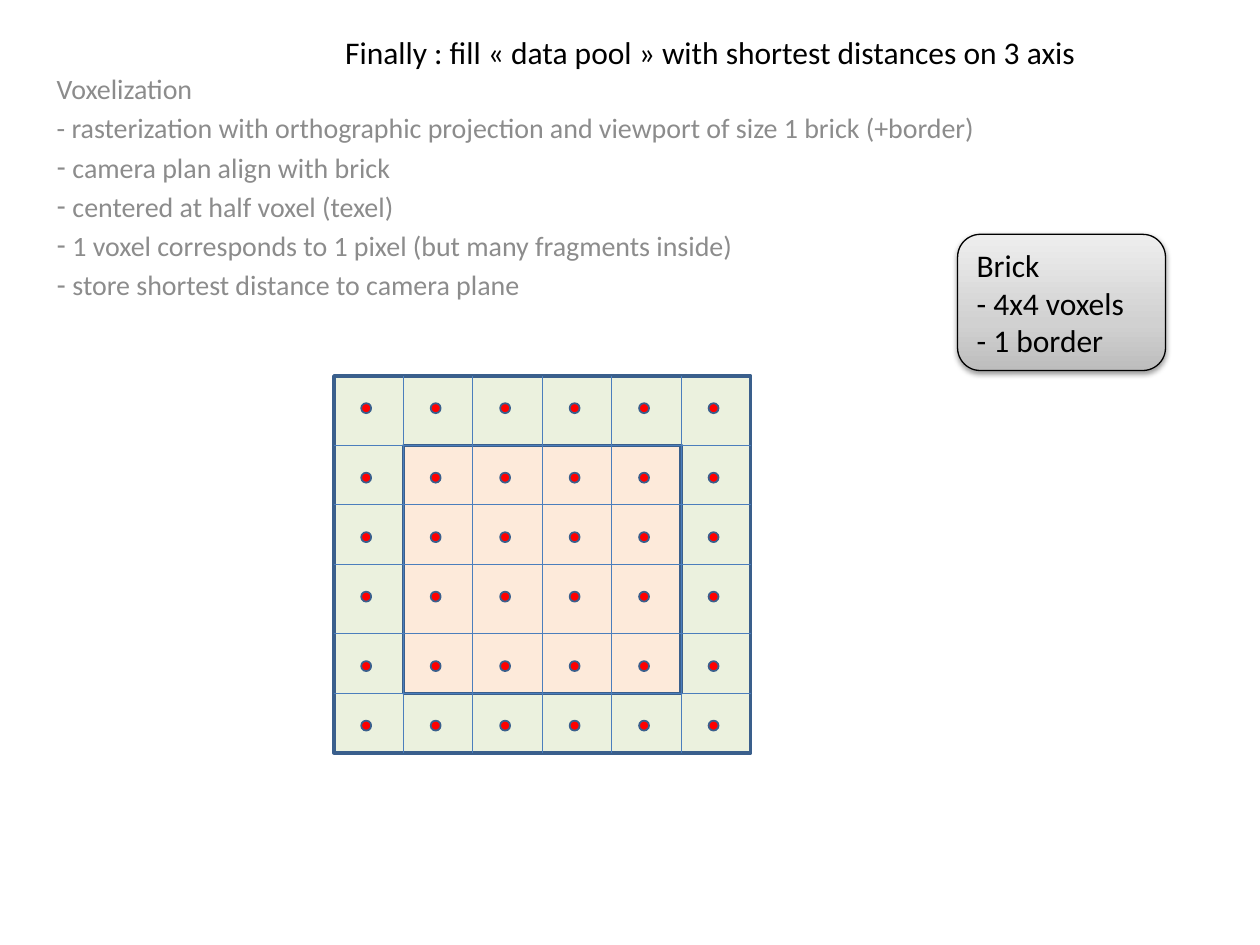
from dataclasses import dataclass
from itertools import accumulate, product

from lxml import etree
from pptx import Presentation
from pptx.dml.color import RGBColor
from pptx.enum.shapes import MSO_CONNECTOR, MSO_SHAPE
from pptx.enum.text import MSO_ANCHOR, MSO_AUTO_SIZE, PP_ALIGN
from pptx.oxml import parse_xml
from pptx.oxml.ns import nsdecls, qn
from pptx.util import Pt


@dataclass(frozen=True)
class Theme:
    font: str = "Calibri"
    text: str = "000000"
    muted: str = "8C8C8C"
    outline: str = "3A5F8C"
    grid: str = "4B7EBC"
    border_cells: str = "EBF1DE"
    brick_cells: str = "FDEADA"
    dot: str = "FF0000"
    note_gradient: tuple = ((0, "BDBDBD"), (35, "D1D1D1"), (100, "EEEEEE"))
    heading_size: int = 18
    body_size: int = 16


THEME = Theme()


def rgb(value):
    return RGBColor.from_string(value)


def place(shape, box):
    shape.left, shape.top, shape.width, shape.height = map(Pt, box)


def write(frame, lines, size, color, space_before=0):
    frame.text = "\n".join(lines)
    for paragraph in frame.paragraphs:
        paragraph.alignment = PP_ALIGN.LEFT
        paragraph.space_before = Pt(space_before)
        font = paragraph.font
        for run in paragraph.runs:
            font = run.font
            font.name, font.size = THEME.font, Pt(size)
            font.color.rgb = rgb(color)


def add_outlined(slide, kind, box, line, width, fill=None):
    shape = slide.shapes.add_shape(kind, *map(Pt, box))
    shape.shadow.inherit = False
    shape.line.color.rgb, shape.line.width = rgb(line), Pt(width)
    if fill:
        shape.fill.solid()
        shape.fill.fore_color.rgb = rgb(fill)
    return shape


def add_grid_line(slide, x1, y1, x2, y2):
    line = slide.shapes.add_connector(MSO_CONNECTOR.STRAIGHT, *map(Pt, (x1, y1, x2, y2)))
    line.line.color.rgb, line.line.width = rgb(THEME.grid), Pt(0.75)
    etree.SubElement(line._element.spPr, qn("a:effectLst"))


def fill_heading(slide, box, text):
    title = slide.shapes.title
    place(title, box)
    frame = title.text_frame
    frame.word_wrap, frame.auto_size = False, MSO_AUTO_SIZE.SHAPE_TO_FIT_TEXT
    frame.vertical_anchor = MSO_ANCHOR.TOP
    write(frame, [text], THEME.heading_size, THEME.text)


def fill_steps(slide, box, intro, bullets):
    body = slide.placeholders[1]
    place(body, box)
    frame = body.text_frame
    frame.word_wrap, frame.auto_size = True, MSO_AUTO_SIZE.NONE
    frame.vertical_anchor = MSO_ANCHOR.TOP
    write(frame, intro + bullets, THEME.body_size, THEME.muted, 0.2 * THEME.body_size)
    # Dash bullets with a hanging indent
    for paragraph in frame.paragraphs[len(intro):]:
        properties = paragraph._p.get_or_add_pPr()
        properties.set("marL", str(Pt(9)))
        properties.set("indent", str(-Pt(9)))
        etree.SubElement(properties, qn("a:buChar"), char="-")


def add_voxel_grid(slide, box, row_heights):
    left, top, width, height = box
    count = len(row_heights)
    cell = width / count
    xs = [left + cell * i for i in range(count + 1)]
    ys = list(accumulate(row_heights, initial=top))

    # Border ring, with the brick inside it
    add_outlined(slide, MSO_SHAPE.RECTANGLE, box, THEME.outline, 2, THEME.border_cells)
    brick = (xs[1], ys[1], xs[-2] - xs[1], ys[-2] - ys[1])
    add_outlined(slide, MSO_SHAPE.RECTANGLE, brick, THEME.outline, 2, THEME.brick_cells)

    # Inner grid lines
    for x in xs[1:-1]:
        add_grid_line(slide, x, top, x, top + height)
    for y in ys[1:-1]:
        add_grid_line(slide, left, y, left + width, y)

    # One sample point in each voxel
    dot, offset = 5.7, 15.6
    for x, y in product(xs[:-1], ys[:-1]):
        add_outlined(slide, MSO_SHAPE.OVAL, (x + offset, y + offset, dot, dot),
                     THEME.outline, 1, THEME.dot)


def add_brick_note(slide, box, lines):
    note = add_outlined(slide, MSO_SHAPE.ROUNDED_RECTANGLE, box, THEME.text, 0.75)
    # Gradient fill
    note.fill.gradient()
    note.fill.gradient_angle = 90
    stops = note._element.spPr.find(qn("a:gradFill")).find(qn("a:gsLst"))
    for stop in list(stops):
        stops.remove(stop)
    for position, color in THEME.note_gradient:
        stop = etree.SubElement(stops, qn("a:gs"), pos=str(position * 1000))
        etree.SubElement(stop, qn("a:srgbClr"), val=color)
    # Soft shadow below
    note._element.spPr.find(qn("a:effectLst")).append(parse_xml(
        f'<a:outerShdw {nsdecls("a")} blurRad="{Pt(3.1)}" dist="{Pt(1.6)}" dir="5400000"'
        f' rotWithShape="0"><a:srgbClr val="{THEME.text}"><a:alpha val="38000"/>'
        '</a:srgbClr></a:outerShdw>'))
    note.text_frame.word_wrap = True
    note.text_frame.vertical_anchor = MSO_ANCHOR.MIDDLE
    write(note.text_frame, lines, THEME.heading_size, THEME.text)


def build():
    deck = Presentation()
    deck.slide_width, deck.slide_height = Pt(720), Pt(540)
    slide = deck.slides.add_slide(deck.slide_layouts[0])

    fill_heading(slide, (190, 15.1, 437, 29),
                 "Finally : fill «\u00a0data pool\u00a0» with shortest distances on 3 axis")
    fill_steps(slide, (25.2, 37.4, 595.4, 147.6),
               ["Voxelization",
                "- rasterization with orthographic projection and viewport of size 1 brick (+border)"],
               ["camera plan align with brick",
                "centered at half voxel (texel)",
                "1 voxel corresponds to 1 pixel (but many fragments inside)",
                "store shortest distance to camera plane"])
    row_heights = [39.7, 34, 34] * 2
    add_voxel_grid(slide, (190.8, 214.8, 238.2, sum(row_heights)), row_heights)
    add_brick_note(slide, (547.2, 133.9, 118.8, 77.8),
                   ["Brick", "- 4x4 voxels", "- 1 border"])
    deck.save("out.pptx")


build()
